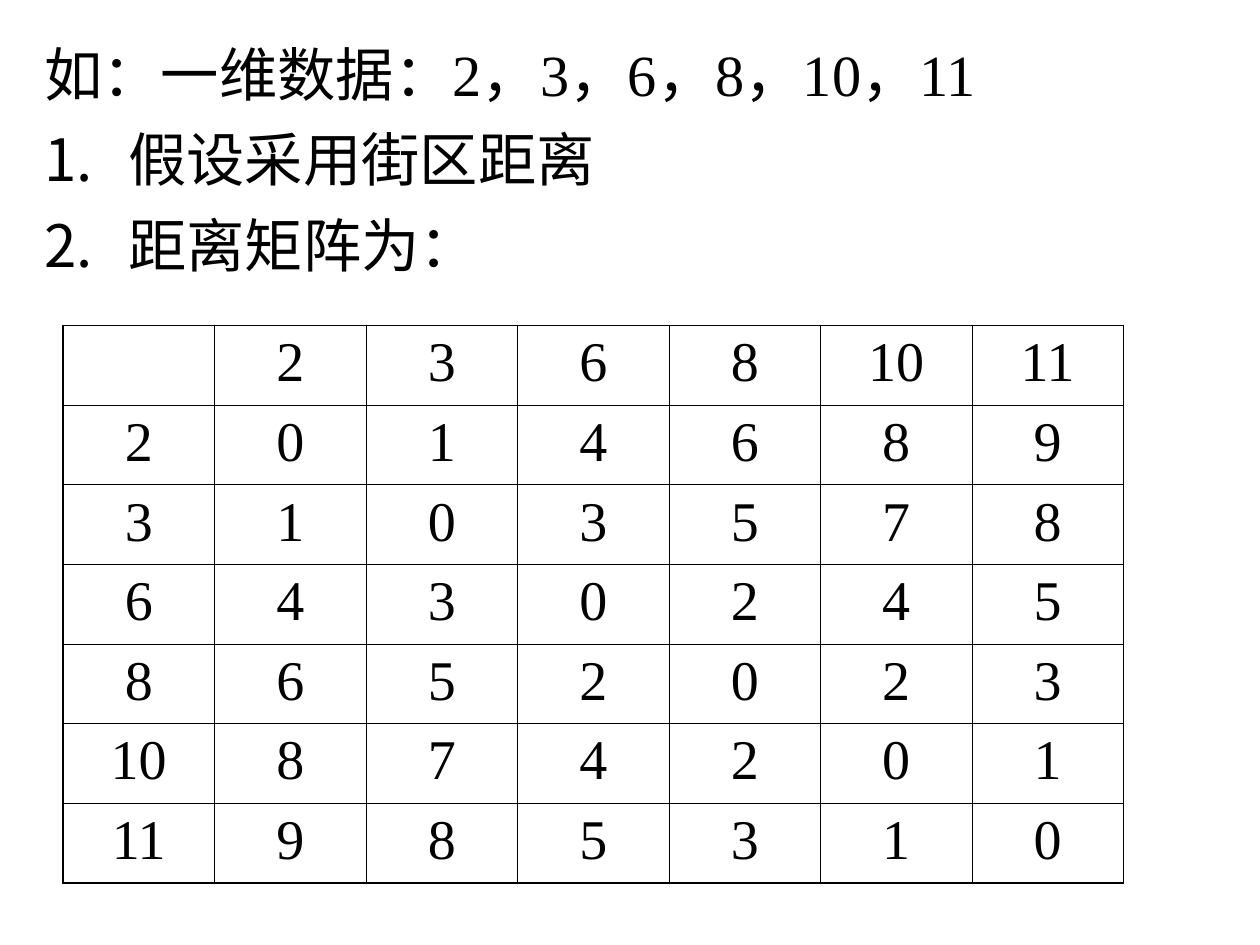
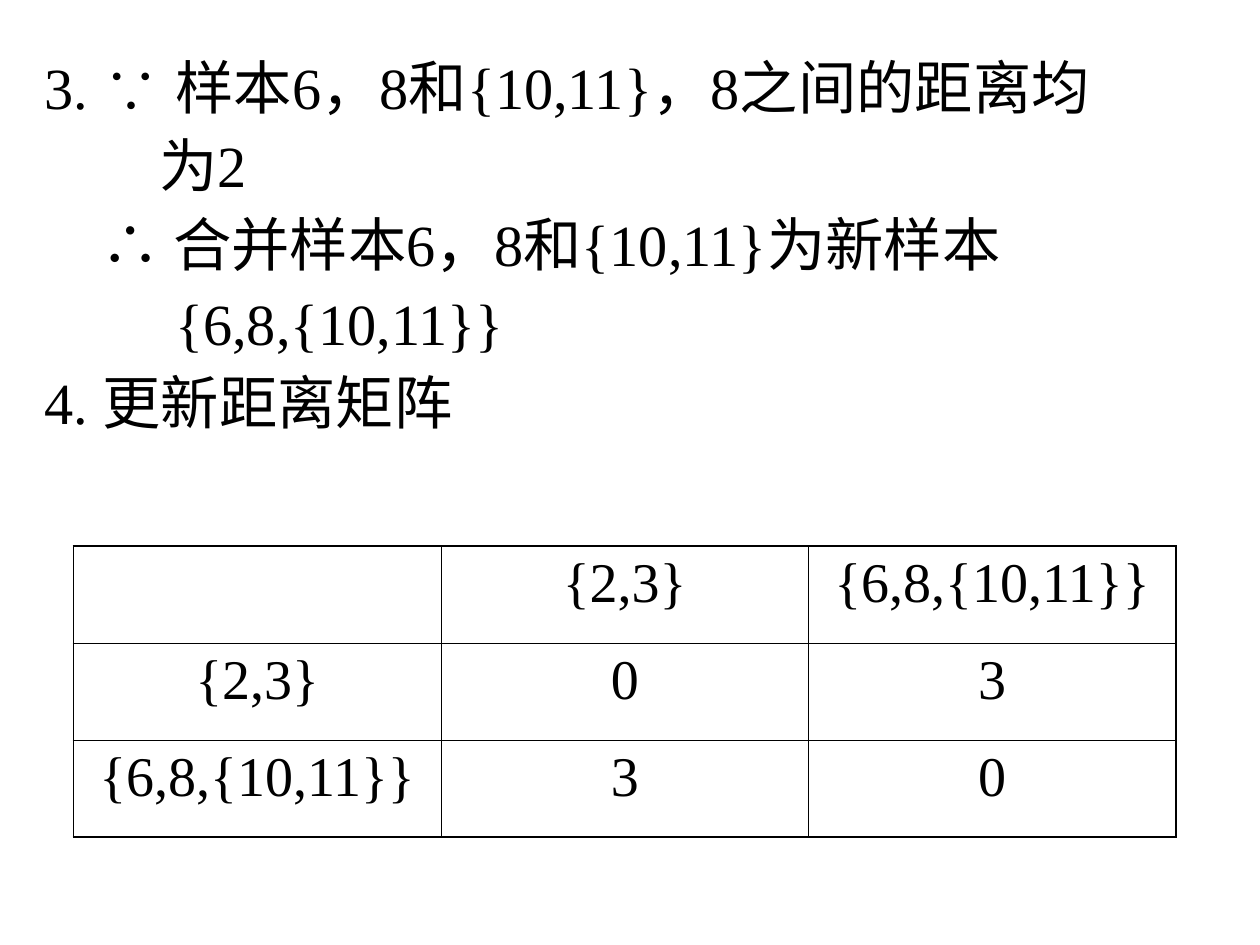
"""Build two slides on clustering one-dimensional samples by distance."""
import pptx
import pptx.dml.color
import pptx.enum.text
import pptx.oxml.ns
import pptx.util
from lxml import etree

Pt = pptx.util.Pt
BLACK = pptx.dml.color.RGBColor(0x00, 0x00, 0x00)
SANS = "Arial"
SERIF = "Times New Roman"
BODY_SIZE = 33.3
CELL_SIZE = 32
OUTER_LINE = 1.08
INNER_LINE = 0.45


def add_xml(parent, tag, **attributes):
    return etree.SubElement(parent, pptx.oxml.ns.qn(tag), attributes)


class SlideWriter:
    def __init__(self, deck):
        self.deck = deck
        self.page = None

    def new_page(self):
        self.page = self.deck.slides.add_slide(self.deck.slide_layouts[1])
        title = self.page.shapes.title.element
        title.getparent().remove(title)

    def add_span(self, para, text, font, size):
        span = para.add_run()
        span.text = text
        span.font.name = font
        span.font.size = Pt(size)
        span.font.color.rgb = BLACK

    def body(self, left, top, width, height, line_spacing, items):
        box = self.page.placeholders[1]
        box.left, box.top, box.width, box.height = map(Pt, (left, top, width, height))
        frame = box.text_frame
        frame.auto_size = pptx.enum.text.MSO_AUTO_SIZE.NONE
        frame.word_wrap = True
        for index, (margin, indent, numbered, spans) in enumerate(items):
            para = frame.add_paragraph() if index else frame.paragraphs[0]
            para.line_spacing = line_spacing
            para.space_before = Pt(9)
            properties = para._p.get_or_add_pPr()
            properties.set("marL", str(Pt(margin)))
            properties.set("indent", str(Pt(indent)))
            if numbered:
                add_xml(properties, "a:buAutoNum", type="arabicPeriod")
            else:
                add_xml(properties, "a:buNone")
            for text, font in spans:
                self.add_span(para, text, font, BODY_SIZE)

    def cell_borders(self, cell, outer_sides):
        properties = cell._tc.get_or_add_tcPr()
        for side, is_outer in outer_sides.items():
            weight = OUTER_LINE if is_outer else INNER_LINE
            line = add_xml(properties, f"a:ln{side}", w=str(Pt(weight)))
            add_xml(add_xml(line, "a:solidFill"), "a:srgbClr", val=str(BLACK))

    def distance_matrix(self, left, top, width, height, labels, distances):
        rows = [["", *labels]]
        rows += [[label, *values] for label, values in zip(labels, distances)]
        count = len(rows)
        last = count - 1
        table = self.page.shapes.add_table(
            count, count, Pt(left), Pt(top), Pt(width), Pt(height)).table
        table.first_row = False
        table.horz_banding = False
        for r, values in enumerate(rows):
            table.rows[r].height = Pt(height / count)
            table.columns[r].width = Pt(width / count)
            for c, value in enumerate(values):
                cell = table.cell(r, c)
                self.cell_borders(cell, {"L": c == 0, "R": c == last,
                                         "T": r == 0, "B": r == last})
                cell.fill.background()
                if value != "":
                    para = cell.text_frame.paragraphs[0]
                    para.alignment = pptx.enum.text.PP_ALIGN.CENTER
                    para.space_before = Pt(8)
                    self.add_span(para, str(value), SERIF, CELL_SIZE)


def main():
    deck = pptx.Presentation()
    deck.slide_width, deck.slide_height = Pt(720), Pt(540)
    writer = SlideWriter(deck)

    writer.new_page()
    writer.body(18, 18, 684, 162, 1.0, [
        (48, -48, False, [("如：一维数据：", SANS), ("2，3，6，8，10，11", SERIF)]),
        (48, -48, True, [("假设采用街区距离", SANS)]),
        (48, -48, True, [("距离矩阵为：", SANS)]),
    ])
    samples = [2, 3, 6, 8, 10, 11]
    distances = [[abs(a - b) for b in samples] for a in samples]
    writer.distance_matrix(36, 186, 606, 318.5, samples, distances)

    writer.new_page()
    writer.body(18, 30, 684, 264, 0.9, [
        (27, -27, False, [("3. ∵ 样本6，8和{10,11}，8之间的距离均", SERIF)]),
        (66, 0, False, [("为2", SERIF)]),
        (33, 0, False, [("∴ 合并样本6，8和{10,11}为新样本", SERIF)]),
        (75, 0, False, [("{6,8,{10,11}}", SERIF)]),
        (27, -27, False, [("4. 更新距离矩阵", SERIF)]),
    ])
    writer.distance_matrix(42, 312, 630, 166.2, ["{2,3}", "{6,8,{10,11}}"],
                           [[0, 3], [3, 0]])

    deck.save("out.pptx")


if __name__ == "__main__":
    main()
